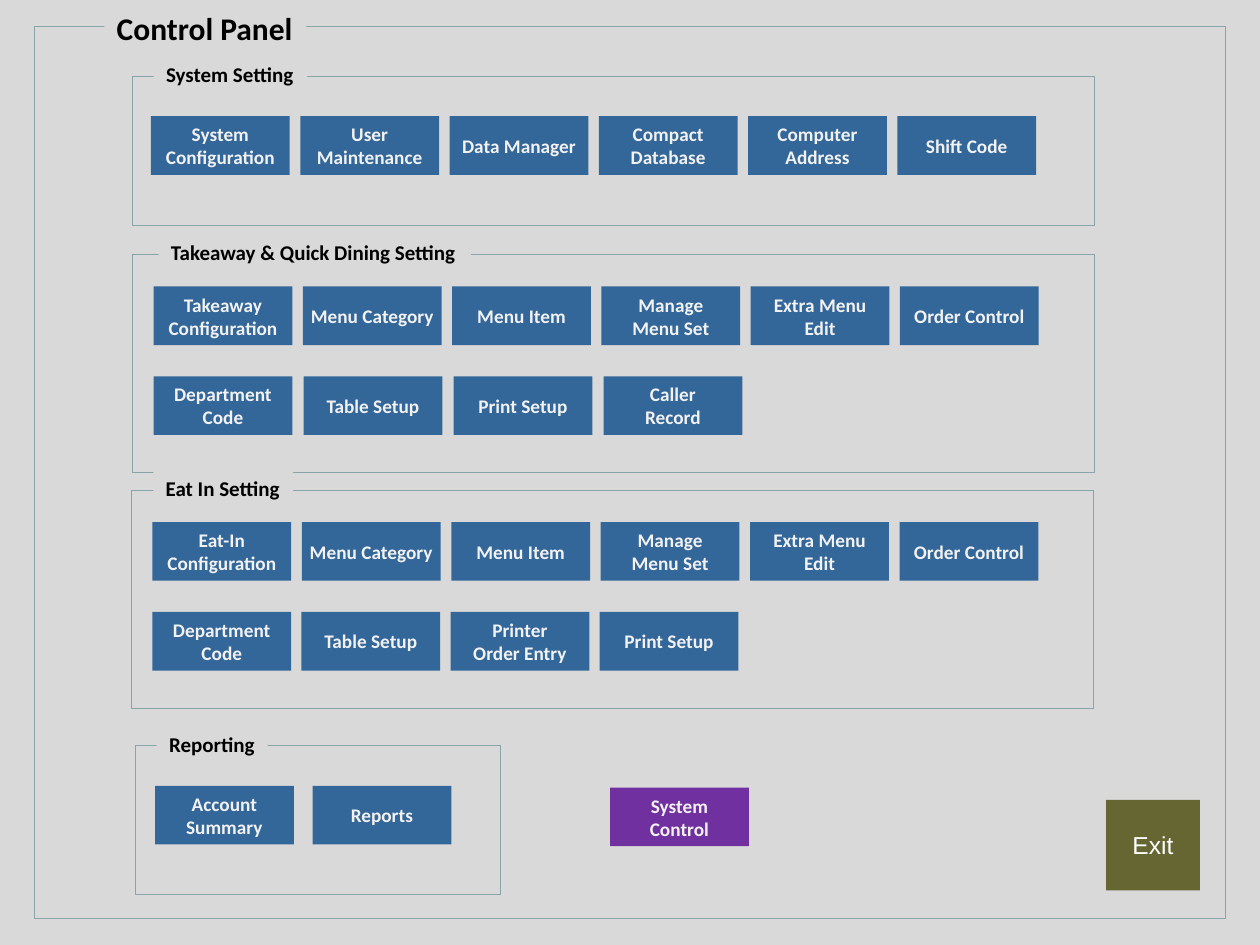
from pptx import Presentation
from pptx.dml.color import RGBColor
from pptx.enum.shapes import MSO_SHAPE
from pptx.enum.text import MSO_ANCHOR, MSO_AUTO_SIZE, PP_ALIGN
from pptx.util import Pt

RECT = MSO_SHAPE.RECTANGLE
TOP, MIDDLE = MSO_ANCHOR.TOP, MSO_ANCHOR.MIDDLE
LEFT, CENTER = PP_ALIGN.LEFT, PP_ALIGN.CENTER
FIT, NO_FIT = MSO_AUTO_SIZE.SHAPE_TO_FIT_TEXT, MSO_AUTO_SIZE.NONE

GREY = RGBColor(0xD9, 0xD9, 0xD9)
TEAL = RGBColor(0x89, 0xA4, 0xA7)
BLUE = RGBColor(0x33, 0x66, 0x99)
PURPLE = RGBColor(0x70, 0x30, 0xA0)
OLIVE = RGBColor(0x66, 0x66, 0x33)
BLACK = RGBColor(0, 0, 0)
WHITE = RGBColor(0xFF, 0xFF, 0xFF)
PALE = RGBColor(0xF2, 0xF2, 0xF2)

WIDTH, HEIGHT = 720, 540
BUTTON_W, BUTTON_H = 79.3, 33.6

CAPTION = {"name": "Calibri", "size": Pt(12), "bold": True}
TITLE = {**CAPTION, "size": Pt(18)}
BUTTON = {**CAPTION, "size": Pt(11)}
EXIT = {"name": "Arial", "size": Pt(14), "bold": False}

GROUPS = [
    ("System Setting", (75.6, 43.7, 549.6, 85), 12.2, 87.8),
    ("Takeaway & Quick Dining Setting", (75.6, 145.4, 549.6, 124.6), 15, 178.6),
    ("Eat In Setting", (75.2, 280, 549.6, 124.6), 12.4, 79.9),
    ("Reporting", (77.3, 426, 208.6, 85), 12.2, 63.4),
]

ROWS = [
    (86.3, 66.4, 85.3, ["System\nConfiguration", "User\nMaintenance", "Data Manager",
                        "Compact\nDatabase", "Computer\nAddress", "Shift Code"]),
    (87.8, 163.7, 85.3, ["Takeaway\nConfiguration", "Menu Category", "Menu Item",
                         "Manage\nMenu Set", "Extra Menu\nEdit", "Order Control"]),
    (87.8, 215, 85.7, ["Department\nCode", "Table Setup", "Print Setup", "Caller\nRecord"]),
    (87.1, 298.3, 85.4, ["Eat-In\nConfiguration", "Menu Category", "Menu Item",
                         "Manage\nMenu Set", "Extra Menu\nEdit", "Order Control"]),
    (87.1, 349.6, 85.2, ["Department\nCode", "Table Setup", "Printer\nOrder Entry",
                         "Print Setup"]),
    (88.6, 449, 90, ["Account\nSummary", "Reports"]),
]


class Panel:
    def __init__(self, s):
        self.s = s

    def box(self, bounds, fill=None, line=None):
        sp = self.s.shapes.add_shape(RECT, *map(Pt, bounds))
        sp.shadow.inherit = False
        if fill is None:
            sp.fill.background()
        else:
            sp.fill.solid()
            sp.fill.fore_color.rgb = fill
        if line is None:
            sp.line.fill.background()
        else:
            sp.line.color.rgb = line
            sp.line.width = Pt(0.5)
        return sp

    def label(self, sp, text, font, color, align, anchor, fit):
        tf = sp.text_frame
        frame = {"word_wrap": False, "vertical_anchor": anchor, "auto_size": fit}
        for key, value in frame.items():
            setattr(tf, key, value)
        tf.text = text
        for p in tf.paragraphs:
            p.alignment = align
            for r in p.runs:
                for key, value in font.items():
                    setattr(r.font, key, value)
                r.font.color.rgb = color

    def frame(self, bounds):
        self.box(bounds, line=TEAL)

    def caption(self, text, bounds, font=CAPTION):
        self.label(self.box(bounds, GREY), text, font, BLACK, LEFT, TOP, FIT)

    def button(self, text, bounds, fill=BLUE, font=BUTTON, color=PALE):
        self.label(self.box(bounds, fill), text, font, color, CENTER, MIDDLE, NO_FIT)

    def group(self, text, bounds, indent, width):
        left, top = bounds[:2]
        self.frame(bounds)
        self.caption(text, (left + indent, top - 11.8, width, 21.8))

    def button_row(self, left, top, pitch, labels):
        for i, text in enumerate(labels):
            self.button(text, (left + i * pitch, top, BUTTON_W, BUTTON_H))


def main():
    prs = Presentation()
    prs.slide_width, prs.slide_height = Pt(WIDTH), Pt(HEIGHT)
    panel = Panel(prs.slides.add_slide(prs.slide_layouts[6]))
    panel.box((0, 0, WIDTH, HEIGHT), GREY)
    panel.frame((19.6, 15, 680.6, 510))
    panel.caption("Control Panel", (59.6, 1.7, 115.3, 29.1), TITLE)
    for group in GROUPS:
        panel.group(*group)
    for row in ROWS:
        panel.button_row(*row)
    panel.button("System\nControl", (348.6, 450, BUTTON_W, BUTTON_H), PURPLE)
    panel.button("Exit", (632, 457, 53.6, 51.8), OLIVE, EXIT, WHITE)
    prs.save("out.pptx")


if __name__ == "__main__":
    main()
